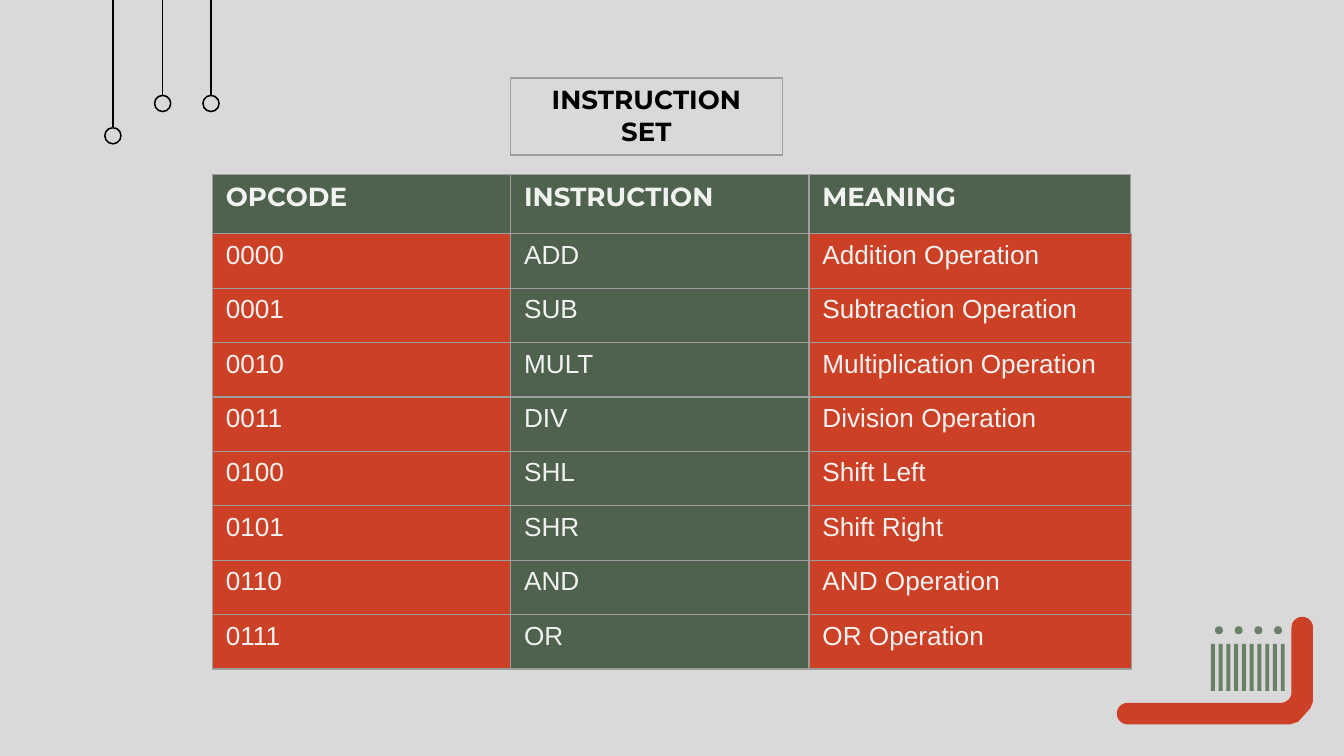
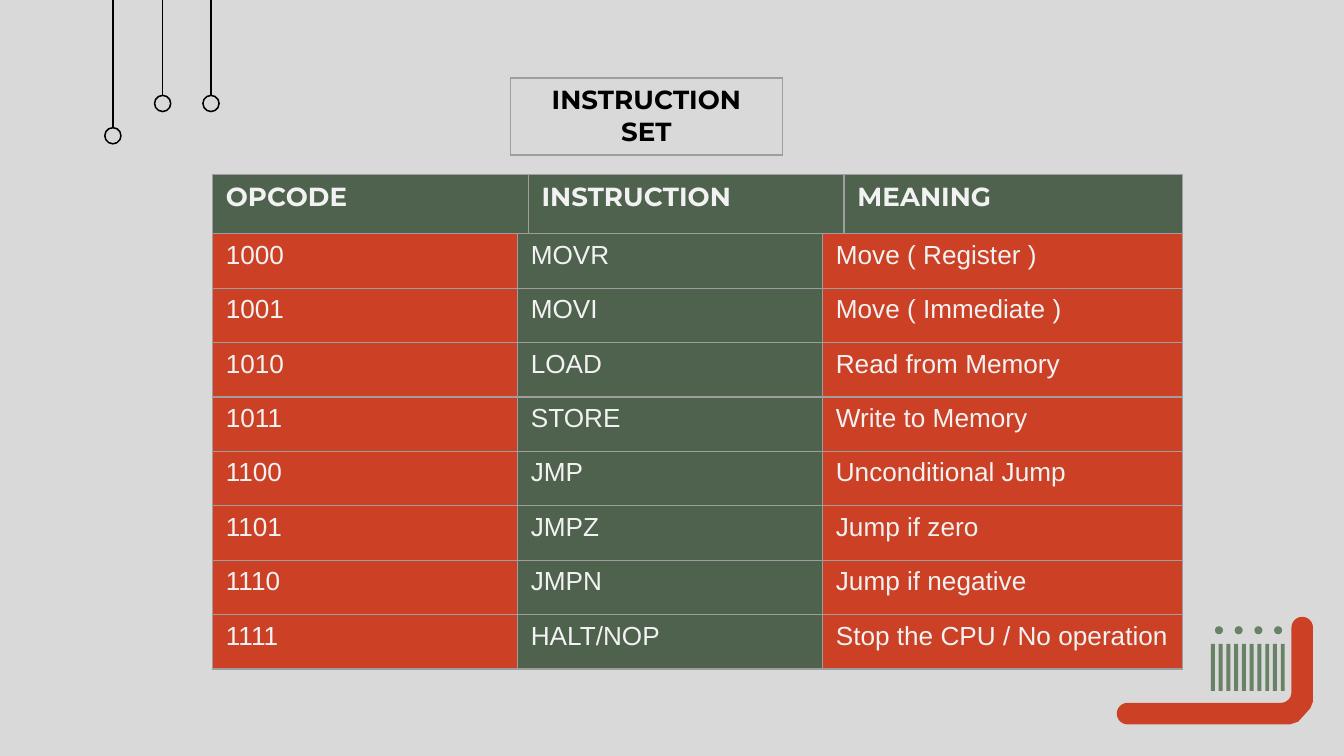
from dataclasses import dataclass
from math import cos, radians, sin

from lxml import etree
from pptx import Presentation
from pptx.dml.color import RGBColor as RGB
from pptx.enum.shapes import MSO_CONNECTOR as Connector, MSO_SHAPE as Shape
from pptx.enum.text import PP_ALIGN as Align
from pptx.oxml.ns import qn
from pptx.util import Inches, Pt


@dataclass(frozen=True)
class Theme:
    background: str = "D9D9D9"
    ink: str = "000000"
    light: str = "F2F2F2"
    green: str = "4F624D"
    sage: str = "698267"
    red: str = "CC4125"
    border: str = "9E9E9E"
    heading_font: str = "Montserrat"
    body_font: str = "Arial"
    text_size: float = 14
    border_width: float = 0.75
    stem_width: float = 0.82


THEME = Theme()

TITLE = "INSTRUCTION SET"
HEADINGS = ("OPCODE", "INSTRUCTION", "MEANING")
TITLE_LEFT, TITLE_TOP, TITLE_WIDTH, TITLE_HEIGHT = 3.8, 0.58, 2.02, 0.33
TABLE_LEFT, HEADER_TOP, HEADER_HEIGHT = 1.58, 1.3, 0.44
BODY_TOP, BODY_HEIGHT = 1.74, 3.24

# Each slide: column widths of the header and the body, then its instructions
INSTRUCTION_SLIDES = (
    ((2.22, 2.22, 2.39), (2.22, 2.22, 2.4), (
        ("0000", "ADD", "Addition Operation"),
        ("0001", "SUB", "Subtraction Operation"),
        ("0010", "MULT", "Multiplication Operation"),
        ("0011", "DIV", "Division Operation"),
        ("0100", "SHL", "Shift Left"),
        ("0101", "SHR", "Shift Right"),
        ("0110", "AND", "AND Operation"),
        ("0111", "OR", "OR Operation"),
    )),
    ((2.35, 2.35, 2.52), (2.27, 2.27, 2.68), (
        ("1000", "MOVR", "Move ( Register )"),
        ("1001", "MOVI", "Move ( Immediate )"),
        ("1010", "LOAD", "Read from Memory"),
        ("1011", "STORE", "Write to Memory"),
        ("1100", "JMP", "Unconditional Jump"),
        ("1101", "JMPZ", "Jump if zero"),
        ("1110", "JMPN", "Jump if negative"),
        ("1111", "HALT/NOP", "Stop the CPU / No operation"),
    )),
)


# Formatting helpers
def color(value):
    return RGB.from_string(value)


def style_text(frame, font_name, font_color, bold, alignment):
    for paragraph in frame.paragraphs:
        paragraph.alignment = alignment
        for run in paragraph.runs:
            run.font.name = font_name
            run.font.size = Pt(THEME.text_size)
            run.font.bold = bold
            run.font.color.rgb = color(font_color)


def set_stem_line(line):
    line.color.rgb = color(THEME.ink)
    line.width = Pt(THEME.stem_width)


def fill_solid(fill, fill_color):
    fill.solid()
    fill.fore_color.rgb = color(fill_color)


def fill_plain(shape, fill_color):
    shape.shadow.inherit = False
    fill_solid(shape.fill, fill_color)
    shape.line.fill.background()


def set_cell_borders(cell):
    properties = cell._tc.get_or_add_tcPr()
    for position, side in enumerate(("a:lnL", "a:lnR", "a:lnT", "a:lnB")):
        edge = etree.Element(qn(side), w=str(Pt(THEME.border_width)))
        fill = etree.SubElement(edge, qn("a:solidFill"))
        etree.SubElement(fill, qn("a:srgbClr"), val=THEME.border)
        properties.insert(position, edge)


# Decorations
def add_hanging_pins(slide):
    size = 0.12
    for center, length in ((0.84, 0.95), (1.21, 0.71), (1.57, 0.71)):
        ring = slide.shapes.add_shape(
            Shape.OVAL, Inches(center - size / 2), Inches(length), Inches(size), Inches(size))
        ring.shadow.inherit = False
        ring.fill.background()
        set_stem_line(ring.line)
        stem = slide.shapes.add_connector(
            Connector.STRAIGHT, Inches(center), 0, Inches(center), Inches(length))
        stem.end_connect(ring, 0)
        set_stem_line(stem.line)
        etree.SubElement(stem._element.spPr, qn("a:effectLst"))


def add_sage_row(slide, kind, count, first, last, top, width, height):
    step = (last - first) / (count - 1)
    for index in range(count):
        mark = slide.shapes.add_shape(
            kind, Inches(first + index * step), Inches(top), Inches(width), Inches(height))
        fill_plain(mark, THEME.sage)


def arc(center_x, center_y, radius, start, end, steps=12):
    angles = (radians(start + (end - start) * i / steps) for i in range(steps + 1))
    return [(center_x + radius * cos(a), center_y + radius * sin(a)) for a in angles]


def add_red_elbow(slide):
    outline = (
        arc(9.69, 4.67, 0.08, 180, 360)
        + [(9.77, 5.22), (9.75, 5.27), (9.66, 5.37), (9.6, 5.39)]
        + arc(8.39, 5.31, 0.08, 90, 270)
        + arc(9.53, 5.15, 0.08, 90, 0)
    )
    points = [(Inches(x), Inches(y)) for x, y in outline]
    builder = slide.shapes.build_freeform(*points[0])
    builder.add_line_segments(points[1:], close=True)
    fill_plain(builder.convert_to_shape(), THEME.red)


def add_decorations(slide):
    add_sage_row(slide, Shape.OVAL, 4, 9.04, 9.48, 4.66, 0.06, 0.06)
    add_red_elbow(slide)
    add_sage_row(slide, Shape.RECTANGLE, 10, 9.01, 9.53, 4.79, 0.03, 0.35)
    add_hanging_pins(slide)


# Tables: a fill of None leaves the cell clear
def add_grid(slide, left, top, height, widths, rows, fills, font_name,
             font_color=THEME.light, bold=False, alignment=None):
    table = slide.shapes.add_table(
        len(rows), len(widths), Inches(left), Inches(top),
        Inches(sum(widths)), Inches(height)).table
    table.first_row = table.horz_banding = False
    for column, width in zip(table.columns, widths):
        column.width = Inches(width)
    for row, values in zip(table.rows, rows):
        row.height = Inches(height / len(rows))
        for cell, value, fill in zip(row.cells, values, fills):
            cell.text_frame.text = value
            style_text(cell.text_frame, font_name, font_color, bold, alignment)
            if fill:
                fill_solid(cell.fill, fill)
            else:
                cell.fill.background()
            set_cell_borders(cell)


def add_instruction_slide(deck, header_widths, body_widths, instructions):
    slide = deck.slides.add_slide(deck.slide_layouts.get_by_name("Blank"))
    add_decorations(slide)
    add_grid(slide, TABLE_LEFT, HEADER_TOP, HEADER_HEIGHT, header_widths, [HEADINGS],
             [THEME.green] * 3, THEME.heading_font, bold=True)
    add_grid(slide, TABLE_LEFT, BODY_TOP, BODY_HEIGHT, body_widths, instructions,
             (THEME.red, THEME.green, THEME.red), THEME.body_font)
    add_grid(slide, TITLE_LEFT, TITLE_TOP, TITLE_HEIGHT, [TITLE_WIDTH], [[TITLE]],
             [None], THEME.heading_font, THEME.ink, bold=True, alignment=Align.CENTER)


def main():
    deck = Presentation()
    deck.slide_width = Inches(10)
    deck.slide_height = deck.slide_width * 9 // 16
    fill_solid(deck.slide_master.background.fill, THEME.background)
    for content in INSTRUCTION_SLIDES:
        add_instruction_slide(deck, *content)
    deck.save("out.pptx")


if __name__ == "__main__":
    main()
